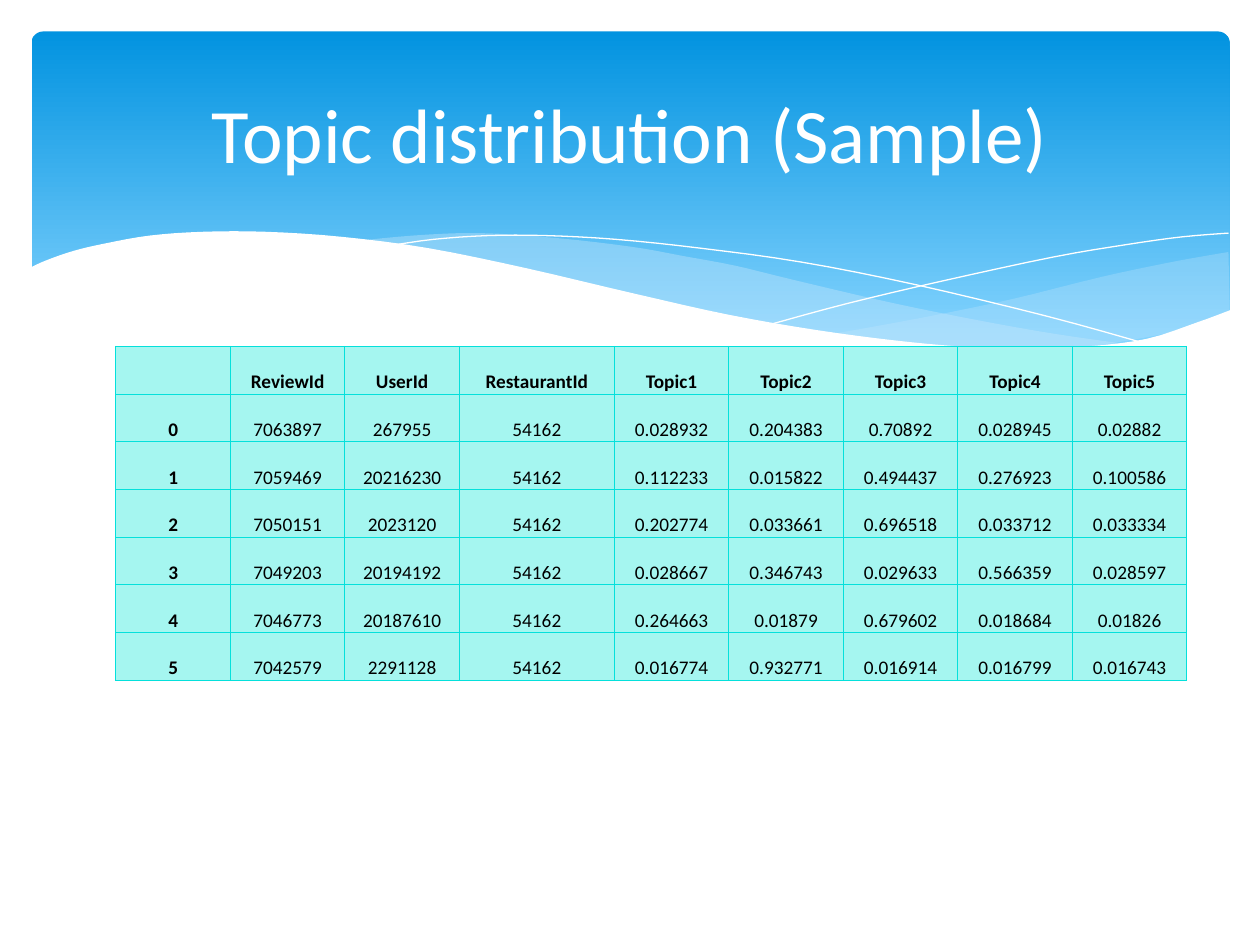
from lxml.etree import SubElement as Sub
from pptx import Presentation
from pptx.dml.color import RGBColor
from pptx.enum.shapes import MSO_SHAPE as Shape
from pptx.enum.text import MSO_ANCHOR as Anchor, PP_ALIGN as Align
from pptx.oxml.ns import qn
from pptx.util import Inches, Pt

WIDE, HIGH = 1000, 750
UNIT = Inches(10) / WIDE
FACE = "Calibri"

HILL = [
    [(952, 175), (912, 182), (868, 191), (838, 198), (782, 212), (730, 223),
     (683, 232), (638, 240)],
    [(638, 240), (682, 246), (734, 250), (780, 253), (831, 251), (874, 245),
     (912, 237), (953, 222)],
]
SWELL = [
    [(870, 248), (814, 240), (752, 229), (683, 215), (606, 197), (561, 186),
     (518, 178), (479, 171), (419, 164), (357, 160), (305, 162), (263, 166)],
    [(263, 166), (319, 174), (381, 186), (426, 197), (507, 215), (578, 230),
     (642, 241), (699, 249), (750, 252), (795, 253), (834, 252), (870, 248)],
]
FALL = [[(286, 170), (321, 165), (364, 162), (410, 162), (466, 165), (533, 172),
         (613, 183), (704, 201), (808, 226), (884, 247)]]
RISE = [[(590, 232), (649, 216), (725, 198), (813, 179), (872, 169), (915, 163),
         (952, 160)]]
FRONT = [
    [(0, 188), (13, 182), (36, 174), (62, 168), (96, 162), (138, 159), (188, 159),
     (248, 163), (317, 172), (395, 188), (480, 208), (556, 225), (625, 237),
     (685, 245), (738, 250), (786, 252), (840, 250), (887, 244), (927, 231),
     (954, 221)],
    [(954, 304), (0, 304)],
]

HEAD = ["", "ReviewId", "UserId", "RestaurantId",
        "Topic1", "Topic2", "Topic3", "Topic4", "Topic5"]
ROWS = [
    "0 7063897 267955 54162 0.028932 0.204383 0.70892 0.028945 0.02882",
    "1 7059469 20216230 54162 0.112233 0.015822 0.494437 0.276923 0.100586",
    "2 7050151 2023120 54162 0.202774 0.033661 0.696518 0.033712 0.033334",
    "3 7049203 20194192 54162 0.028667 0.346743 0.029633 0.566359 0.028597",
    "4 7046773 20187610 54162 0.264663 0.01879 0.679602 0.018684 0.01826",
    "5 7042579 2291128 54162 0.016774 0.932771 0.016914 0.016799 0.016743",
]


def tint(code):
    return RGBColor.from_string(code)


def span(*cells):
    return [round(n * UNIT) for n in cells]


def style(item, values):
    for name, value in values.items():
        setattr(item, name, value)


def write(frame, text, size, code, bold=False):
    para = frame.paragraphs[0]
    para.alignment = Align.CENTER
    if text:
        run = para.add_run()
        run.text = text
        style(run.font, {"name": FACE, "size": Pt(size), "bold": bold})
        run.font.color.rgb = tint(code)


def smooth(knots, steps=4):
    if len(knots) < 3:
        return knots
    ends = [knots[0], *knots, knots[-1]]
    curve = []
    for a, b, c, d in zip(ends, ends[1:], ends[2:], ends[3:]):
        for step in range(steps):
            t = step / steps
            curve.append(tuple(
                q + t * (r - p) / 2 + t * t * (p - 2.5 * q + 2 * r - s / 2)
                + t ** 3 * (1.5 * (q - r) + (s - p) / 2)
                for p, q, r, s in zip(a, b, c, d)))
    return curve + [knots[-1]]


def wave(slide, box, edges, code, alpha=None, closed=True):
    left, top = box[:2]
    dots = [span(left + x, top + y) for edge in edges for x, y in smooth(edge)]
    pen = slide.shapes.build_freeform(*dots[0], scale=1.0)
    pen.add_line_segments(dots[1:], close=closed)
    shape = pen.convert_to_shape()
    shape.shadow.inherit = False
    if closed:
        shape.fill.solid()
        shape.fill.fore_color.rgb = tint(code)
        shape.line.fill.background()
    else:
        shape.fill.background()
        shape.line.color.rgb = tint(code)
        shape.line.width = Pt(0)
    if alpha:
        color = shape.fill.fore_color
        node = next(shape.element.spPr.iter(qn("a:srgbClr")))
        Sub(node, qn("a:alpha"), val=str(alpha * 1000))


def banner(slide, box):
    left, top, width, height = box
    panel = slide.shapes.add_shape(
        Shape.ROUNDED_RECTANGLE, *span(left + 2, top, width - 3, height - 34))
    panel.adjustments[0] = 0.034
    panel.shadow.inherit = False
    panel.line.fill.background()
    panel.fill.gradient()
    panel.fill.gradient_angle = 270
    for stop, (code, place) in zip(panel.fill.gradient_stops,
                                   [("0293E0", 0), ("83D3FE", 0.9)]):
        stop.color.rgb = tint(code)
        stop.position = place
    wave(slide, box, HILL, "C6E7FC", 29)
    wave(slide, box, SWELL, "C6E7FC", 40)
    for edges in (FALL, RISE):
        wave(slide, box, edges, "FFFFFF", closed=False)
    wave(slide, box, FRONT, "FFFFFF")


def border(cell, code, width):
    props = cell._tc.get_or_add_tcPr()
    for side in "LRTB":
        line = Sub(props, qn(f"a:ln{side}"), w=str(Pt(width)))
        Sub(Sub(line, qn("a:solidFill")), qn("a:srgbClr"), val=code)


def grid(slide, box):
    data = [HEAD] + [row.split() for row in ROWS]
    broad, width = 123, box[2]
    thin = (width - broad) / (len(HEAD) - 1)
    table = slide.shapes.add_table(len(data), len(HEAD), *span(*box)).table
    style(table, {"first_row": False, "horz_banding": False})
    for col, name in zip(table.columns, HEAD):
        col.width, = span(broad if name == "RestaurantId" else thin)
    for r, row in enumerate(data):
        table.rows[r].height, = span(box[3] / len(data))
        for c, text in enumerate(row):
            cell = table.cell(r, c)
            border(cell, "05E0DB", 0.75)
            cell.fill.solid()
            cell.fill.fore_color.rgb = tint("A5F6F0")
            edge = Inches(0.01)
            style(cell, {"margin_left": edge, "margin_right": edge,
                         "margin_top": edge, "margin_bottom": 0,
                         "vertical_anchor": Anchor.BOTTOM})
            write(cell.text_frame, text, 11, "000000", r == 0 or c == 0)


def heading(slide, box, text):
    title = slide.shapes.title
    style(title, dict(zip(("left", "top", "width", "height"), span(*box))))
    style(title.text_frame, {"word_wrap": True, "vertical_anchor": Anchor.MIDDLE})
    write(title.text_frame, text, 44, "FFFFFF")
    title.element.getparent().append(title.element)


def main():
    deck = Presentation()
    deck.slide_width, deck.slide_height = span(WIDE, HIGH)
    slide = deck.slides.add_slide(deck.slide_layouts[5])
    banner(slide, (23, 25, 954, 304))
    grid(slide, (92, 275, 850, 265))
    heading(slide, (50, 37, 900, 137), "Topic distribution (Sample)")
    deck.save("out.pptx")


if __name__ == "__main__":
    main()
